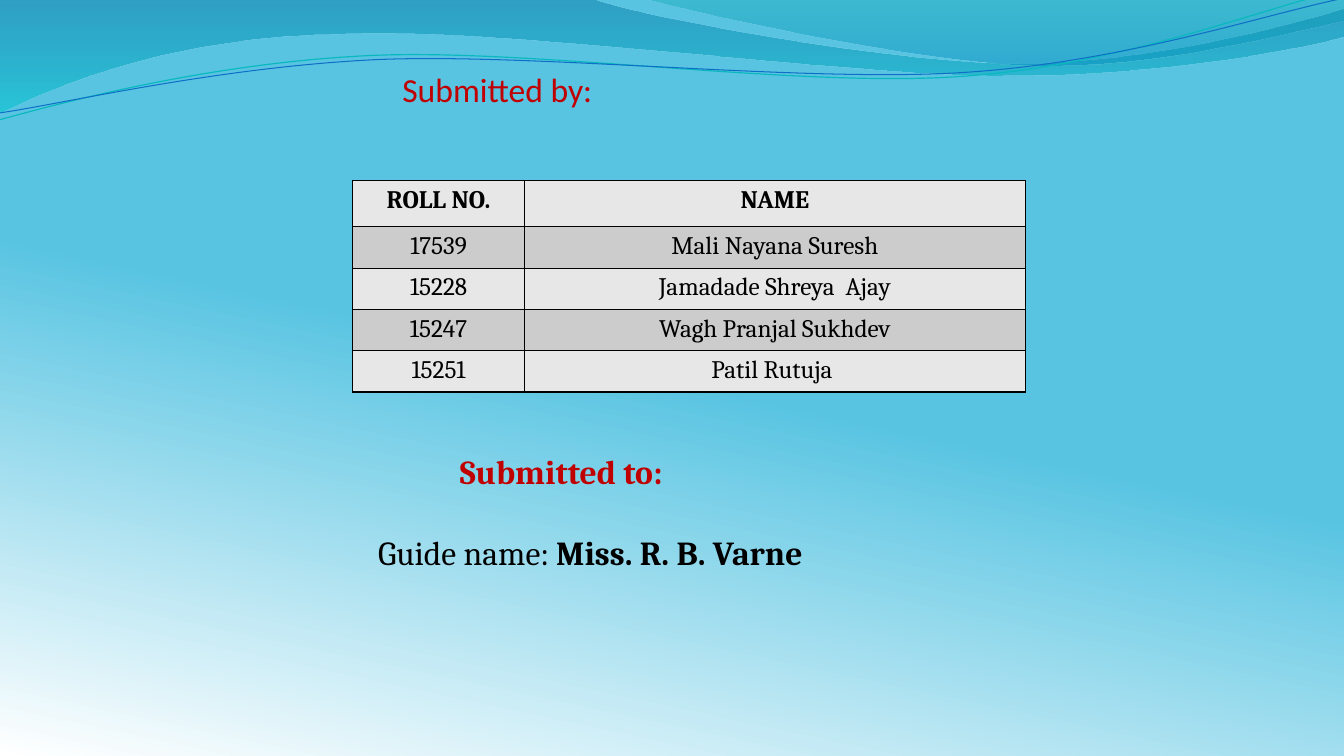
from copy import deepcopy

from lxml.etree import SubElement
from pptx import Presentation
from pptx.dml.color import RGBColor
from pptx.enum.text import MSO_ANCHOR, MSO_AUTO_SIZE, PP_ALIGN
from pptx.oxml.ns import qn
from pptx.util import Inches, Pt

# Content
TITLE = "Submitted by:"
STUDENTS = [
    ("ROLL NO.", "NAME"),
    ("17539", "Mali Nayana Suresh"),
    ("15228", "Jamadade Shreya  Ajay"),
    ("15247", "Wagh Pranjal Sukhdev"),
    ("15251", "Patil Rutuja "),
]
GUIDE_HEADING = "Submitted to:"
GUIDE_LABEL, GUIDE_NAME = "Guide name: ", "Miss. R. B. Varne"

COLUMN_WIDTHS = (1.7, 4.97)
ROW_HEIGHTS = (0.46, 0.41, 0.41, 0.41, 0.41)
BAND_FILLS = ("E7E7E7", "CCCCCC")
RED, BLACK = "C00000", "000000"

# Gradient stops: colour, position, opacity in percent
SKY = [("58C4E2", 0.5, 100), ("FFFFFF", 1, 100), ("ADE8F1", 1, 100)]

# Waves: a start point, then segments of one point (line) or three (curve)
BANDS = [
    ([(0, 0), [(5.87, -0.01)],
      [(6.34, 0.17), (8.85, 0.63), (10.11, 0.63)],
      [(11.38, 0.63), (12.78, 0.26), (13.33, 0.09)], [(13.35, 0.36)],
      [(13.11, 0.44), (11.6, 0.76), (9.94, 0.75)],
      [(8.29, 0.75), (5.09, 0.28), (3.43, 0.34)],
      [(1.72, 0.36), (0.61, 0.83), (-0.01, 1.13)], [(0, 0)]],
     [("0074A1", 0, 45), ("00C6CF", 1, 55)]),
    ([(6.39, -0.01), [(6.79, 0.11), (9.09, 0.62), (10.25, 0.65)],
      [(11.41, 0.69), (12.82, 0.32), (13.33, 0.21)], [(13.33, 0)], [(6.39, -0.01)]],
     [("00A1A9", 0, 30), ("008BBF", 1, 45)]),
]
STRANDS = [
    ([(-0.01, 1.19), [(0.64, 1.01), (2.11, 0.62), (3.69, 0.55)],
      [(5.27, 0.48), (7.9, 0.87), (9.5, 0.76)],
      [(11.1, 0.66), (12.52, 0.08), (13.31, -0.1)]], "0AB8BF", 0.85),
    ([(0, 1.12), [(0.63, 1.03), (2.18, 0.66), (3.78, 0.59)],
      [(5.37, 0.53), (7.96, 0.82), (9.55, 0.72)],
      [(11.15, 0.62), (12.55, 0.14), (13.34, -0.02)]], "0F6FC6", 0.75),
]


def color(hex_text):
    return RGBColor.from_string(hex_text)


def style(span, size, hex_text, font, bold=False):
    span.font.size, span.font.name, span.font.bold = Pt(size), font, bold
    span.font.color.rgb = color(hex_text)


def set_gradient(fill, stops, angle):
    fill.gradient()
    fill.gradient_angle = angle
    last = fill.gradient_stops[1]._gs
    for _ in stops[2:]:
        last.addnext(deepcopy(last))
    for stop, (hex_text, position, opacity) in zip(fill.gradient_stops, stops):
        stop.color.rgb = color(hex_text)
        stop.position = position
        if opacity < 100:
            tint = stop._gs.find(qn("a:srgbClr"))
            SubElement(tint, qn("a:alpha"), val=str(opacity * 1000))


def add_wave(page, outline, closed):
    start, *segments = outline
    points = [(Inches(x), Inches(y)) for segment in segments for x, y in segment]
    builder = page.shapes.build_freeform(Inches(start[0]), Inches(start[1]))
    builder.add_line_segments(points, close=closed)
    wave = builder.convert_to_shape()
    wave.shadow.inherit = False
    # Join each run of three line points into one curve
    steps = iter(list(wave._element.iter(qn("a:lnTo"))))
    for segment in segments:
        group = [next(steps) for _ in segment]
        if len(group) == 3:
            curve = group[0].makeelement(qn("a:cubicBezTo"))
            group[0].addprevious(curve)
            for step in group:
                curve.append(step[0])
                step.getparent().remove(step)
    # The waves belong to the layout, behind everything on the page
    page.slide_layout.shapes._spTree.append(wave._element)
    return wave


def add_waves(page):
    for outline, stops in BANDS:
        wave = add_wave(page, outline, True)
        set_gradient(wave.fill, stops, 270)
        wave.line.fill.background()
    for outline, hex_text, width in STRANDS:
        wave = add_wave(page, outline, False)
        wave.fill.background()
        wave.line.color.rgb = color(hex_text)
        wave.line.width = Pt(width)


def add_title(page):
    title = page.shapes.title
    title.left, title.top, title.width, title.height = map(Inches, (3.62, 0.7, 6.8, 0.38))
    frame = title.text_frame
    frame.text = TITLE
    frame.auto_size = MSO_AUTO_SIZE.NONE
    frame.vertical_anchor = MSO_ANCHOR.BOTTOM
    frame.margin_left = frame.margin_right = frame.margin_bottom = 0
    frame.margin_top = Inches(0.05)
    para = frame.paragraphs[0]
    para.alignment = PP_ALIGN.LEFT
    para._p.get_or_add_pPr().set("marL", str(Inches(0.37)))
    style(para.runs[0], 24, RED, "Calibri")


def add_borders(cell):
    properties = cell._tc.get_or_add_tcPr()
    for side in ("lnL", "lnR", "lnT", "lnB"):
        line = SubElement(properties, qn(f"a:{side}"), w=str(Pt(1)))
        paint = SubElement(line, qn("a:solidFill"))
        SubElement(paint, qn("a:srgbClr"), val=BLACK)


def add_students(page):
    table = page.shapes.add_table(
        len(STUDENTS), len(COLUMN_WIDTHS), Inches(3.5), Inches(1.79),
        Inches(sum(COLUMN_WIDTHS)), Inches(sum(ROW_HEIGHTS))).table
    for column, width in zip(table.columns, COLUMN_WIDTHS):
        column.width = Inches(width)
    for index, (row, values) in enumerate(zip(table.rows, STUDENTS)):
        row.height = Inches(ROW_HEIGHTS[index])
        for cell, value in zip(row.cells, values):
            cell.text = value
            add_borders(cell)
            cell.fill.solid()
            cell.fill.fore_color.rgb = color(BAND_FILLS[index % 2])
            para = cell.text_frame.paragraphs[0]
            para.alignment = PP_ALIGN.CENTER
            style(para.runs[0], 18, BLACK, "Cambria", bold=index == 0)


def add_guide(page):
    box = page.shapes.add_textbox(Inches(1.97), Inches(4.42), Inches(7.19), Inches(1.31))
    frame = box.text_frame
    frame.word_wrap = True
    frame.text = GUIDE_HEADING
    heading = frame.paragraphs[0]
    style(heading.runs[0], 24, RED, "Cambria", bold=True)
    guide = frame.add_paragraph()
    guide.space_before = Pt(29)
    guide._p.get_or_add_pPr().set("marL", str(Inches(0.58)))
    for words, bold in ((GUIDE_LABEL, False), (GUIDE_NAME, True)):
        span = guide.add_run()
        span.text = words
        style(span, 24, BLACK, "Cambria", bold)
    heading.alignment = guide.alignment = PP_ALIGN.CENTER


def main():
    deck = Presentation()
    deck.slide_width, deck.slide_height = Inches(13.33), Inches(7.5)
    page = deck.slides.add_slide(deck.slide_layouts[5])
    set_gradient(page.background.fill, SKY, 258)
    add_waves(page)
    add_title(page)
    add_students(page)
    add_guide(page)
    deck.save("out.pptx")


if __name__ == "__main__":
    main()
